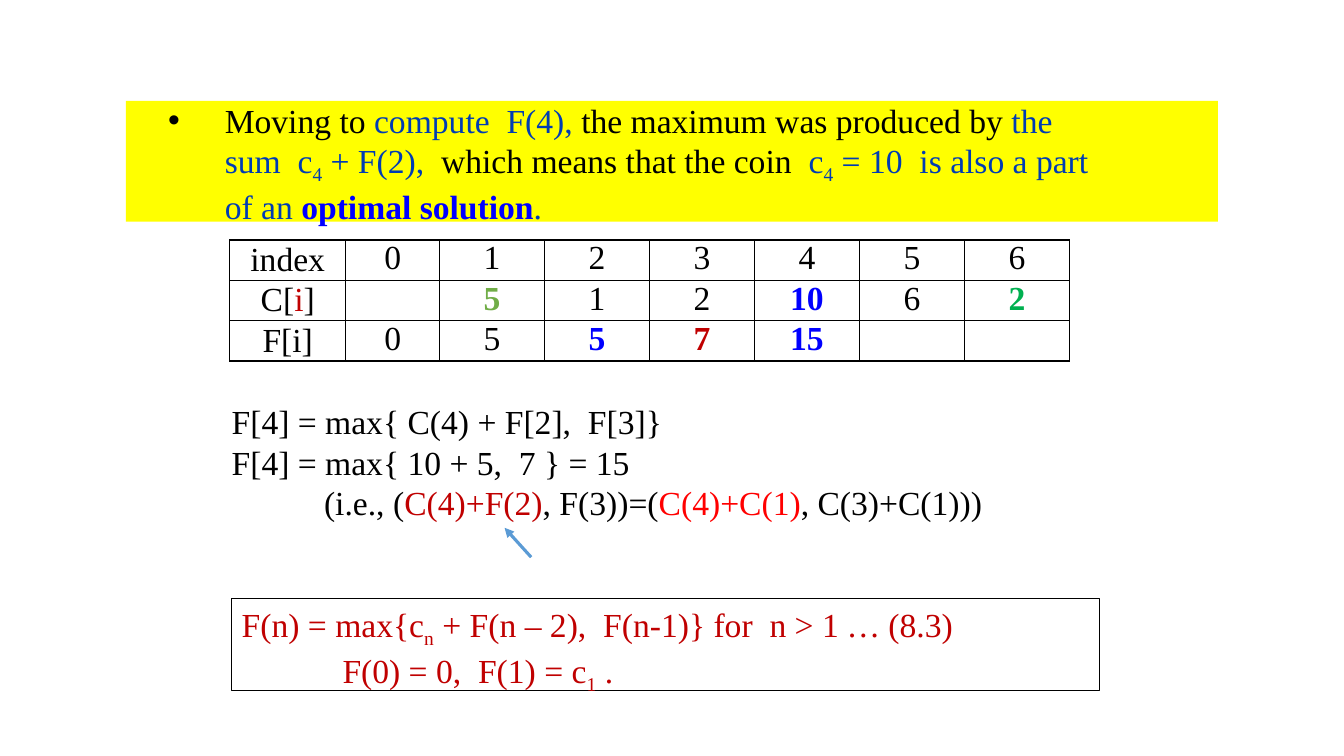
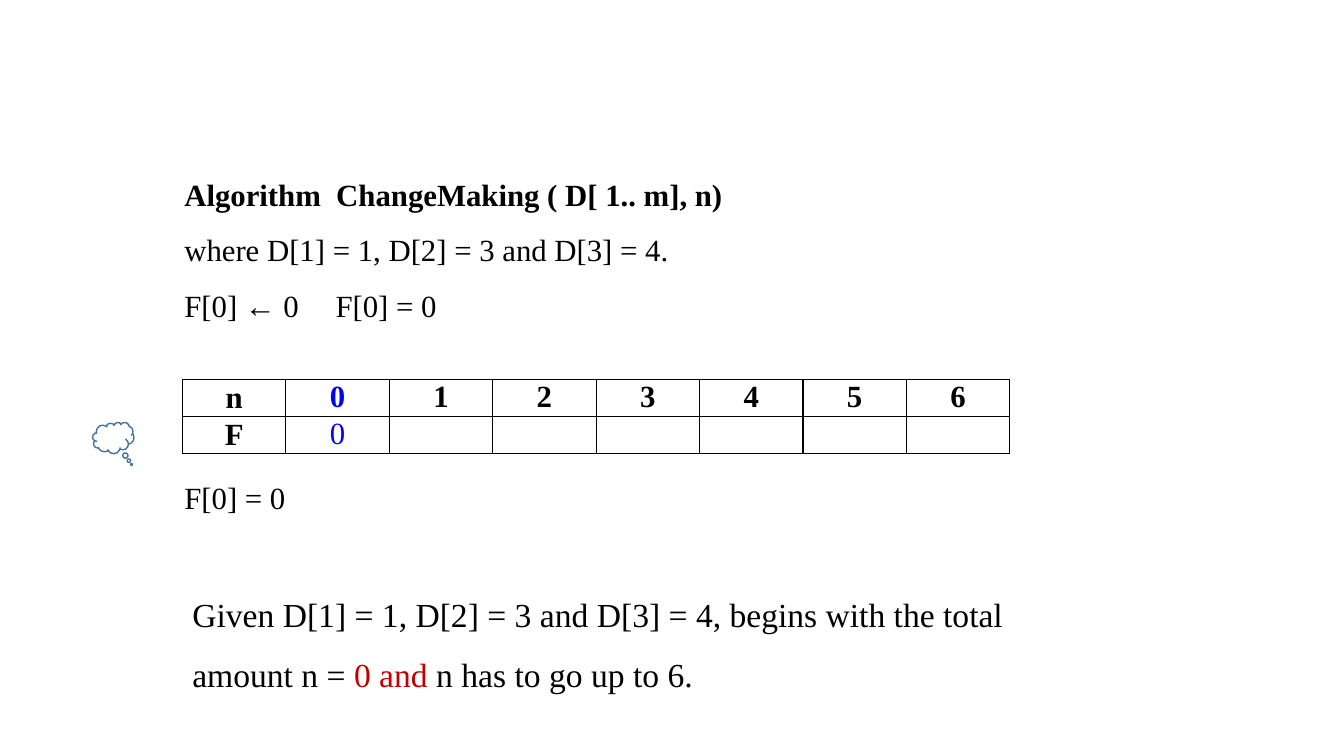
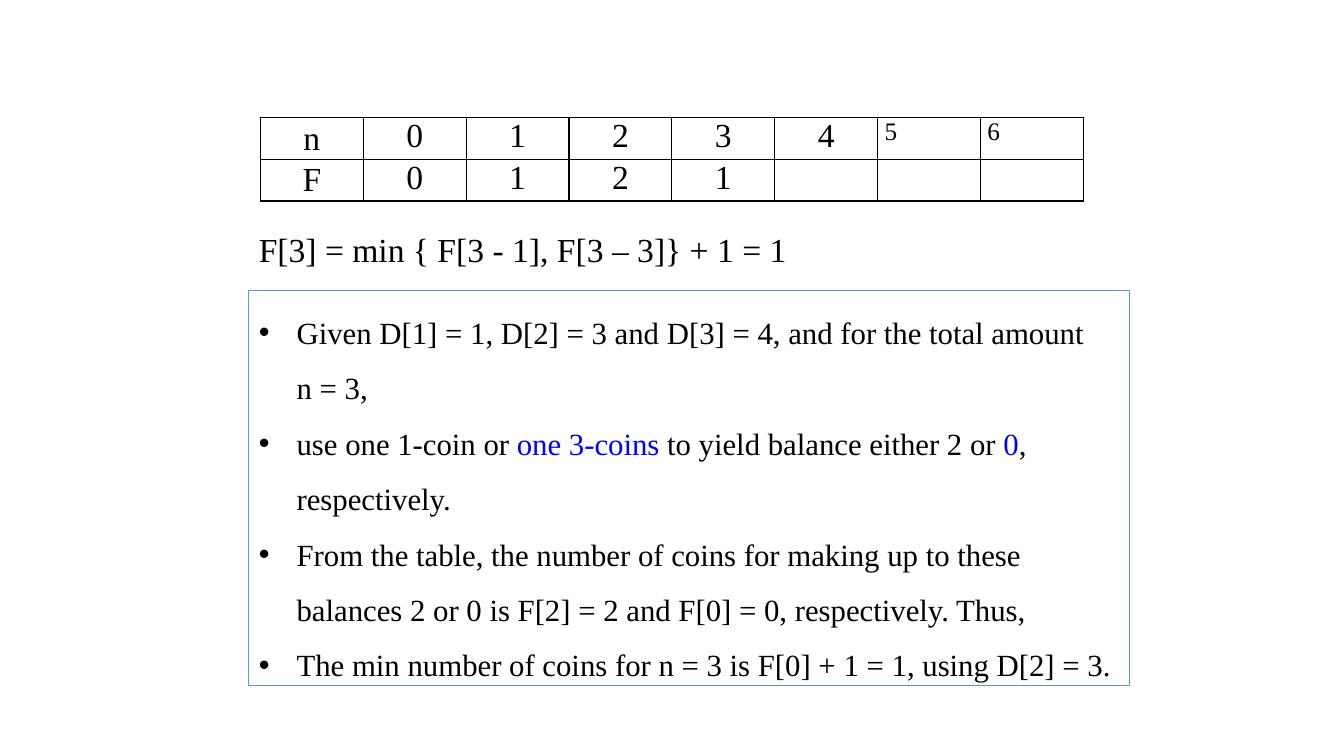
from dataclasses import dataclass

from lxml.etree import SubElement
from pptx import Presentation
from pptx.dml.color import RGBColor
from pptx.enum.shapes import MSO_CONNECTOR, MSO_SHAPE
from pptx.enum.text import MSO_ANCHOR, PP_ALIGN
from pptx.oxml.ns import qn
from pptx.util import Pt

BLACK = RGBColor(0x00, 0x00, 0x00)
WHITE = RGBColor(0xFF, 0xFF, 0xFF)
YELLOW = RGBColor(0xFF, 0xFF, 0x00)
NAVY = RGBColor(0x00, 0x3C, 0xB4)
BLUE = RGBColor(0x00, 0x00, 0xFF)
CRIMSON = RGBColor(0xC0, 0x00, 0x00)
RED = RGBColor(0xFF, 0x00, 0x00)
OLIVE = RGBColor(0x70, 0xAD, 0x47)
GREEN = RGBColor(0x00, 0xB0, 0x50)
SKY = RGBColor(0x5B, 0x9B, 0xD5)
STEEL = RGBColor(0x43, 0x73, 0x9E)
FONT = "Times New Roman"
BODY = 24
SMALL = 22


@dataclass
class Box:
    left: float
    top: float
    width: float
    height: float

    def inner(self, left, top, width, height):
        return Box(self.left + left, self.top + top, width, height)

    def points(self):
        return Pt(self.left), Pt(self.top), Pt(self.width), Pt(self.height)


@dataclass
class Span:
    text: str
    colour: RGBColor = BLACK
    bold: bool = False
    low: bool = False


@dataclass
class Line:
    spans: list
    indent: float = 0
    bullet: bool = False
    tab: float = 0
    spacing: float = 1


def write_spans(para, spans, size):
    for span in spans:
        if span == "\n":
            para.add_line_break()
            continue
        if isinstance(span, str):
            span = Span(span)
        run = para.add_run()
        run.text = span.text
        run.font.name = FONT
        run.font.size = Pt(size)
        run.font.bold = span.bold
        run.font.color.rgb = span.colour
        if span.low:
            run.font._element.set("baseline", "-25000")


def write_lines(shape, lines, size):
    frame = shape.text_frame
    frame.word_wrap = True
    frame.vertical_anchor = MSO_ANCHOR.TOP
    for number, line in enumerate(lines):
        para = frame.paragraphs[0] if number == 0 else frame.add_paragraph()
        para.alignment = PP_ALIGN.LEFT
        para.line_spacing = line.spacing
        props = para._p.get_or_add_pPr()
        props.set("marL", str(Pt(line.indent)))
        props.set("indent", str(-Pt(line.indent) if line.bullet else 0))
        if line.bullet:
            SubElement(props, qn("a:buFont"), typeface="Arial")
            SubElement(props, qn("a:buChar"), char="•")
        if line.tab:
            tabs = SubElement(props, qn("a:tabLst"))
            SubElement(tabs, qn("a:tab"), pos=str(Pt(line.tab)), algn="l")
        write_spans(para, line.spans, size)


def add_text(page, box, lines, size=BODY):
    write_lines(page.shapes.add_textbox(*box.points()), lines, size)


def add_panel(page, box, fill=None, line=None, weight=1, kind=MSO_SHAPE.RECTANGLE):
    panel = page.shapes.add_shape(kind, *box.points())
    panel.shadow.inherit = False
    if fill is None:
        panel.fill.background()
    else:
        panel.fill.solid()
        panel.fill.fore_color.rgb = fill
    if line is None:
        panel.line.fill.background()
    else:
        panel.line.color.rgb = line
        panel.line.width = Pt(weight)
    return panel


def add_arrow(page, start, end):
    arrow = page.shapes.add_connector(
        MSO_CONNECTOR.STRAIGHT, *[Pt(value) for value in (*start, *end)])
    arrow.line.color.rgb = SKY
    arrow.line.width = Pt(2.25)
    props = arrow._element.spPr
    SubElement(props.find(qn("a:ln")), qn("a:tailEnd"), type="triangle")
    SubElement(props, qn("a:effectLst"))


def outline_cell(cell):
    props = cell._tc.get_or_add_tcPr()
    for side in ("a:lnL", "a:lnR", "a:lnT", "a:lnB"):
        edge = SubElement(props, qn(side), w=str(Pt(1)))
        fill = SubElement(edge, qn("a:solidFill"))
        SubElement(fill, qn("a:srgbClr"), val=str(BLACK))


def add_grid(page, box, rows, size=BODY, widths=None, small_cells=()):
    count = len(rows[0])
    widths = widths or [box.width / count] * count
    table = page.shapes.add_table(len(rows), count, *box.points()).table
    table.first_row = table.horz_banding = False
    for column, width in zip(table.columns, widths):
        column.width = Pt(width)
    for row_no, row in enumerate(rows):
        table.rows[row_no].height = Pt(box.height / len(rows))
        for col_no, spans in enumerate(row):
            cell = table.cell(row_no, col_no)
            outline_cell(cell)
            cell.fill.solid()
            cell.fill.fore_color.rgb = WHITE
            cell.margin_left = cell.margin_right = Pt(5)
            cell.margin_top = cell.margin_bottom = 0
            cell.vertical_anchor = MSO_ANCHOR.TOP if col_no else MSO_ANCHOR.MIDDLE
            small = (row_no, col_no) in small_cells
            para = cell.text_frame.paragraphs[0]
            para.alignment = PP_ALIGN.LEFT if small else PP_ALIGN.CENTER
            if spans:
                spans = spans if isinstance(spans, list) else [spans]
                write_spans(para, spans, 18 if small else size)


def add_highlight(page, box):
    add_panel(page, box, YELLOW)
    add_text(page, box.inner(23, -4.5, 684, 94), [Line([
        "Moving to ", Span("compute  F(4), ", NAVY), "the maximum was produced by ",
        Span("the sum  c", NAVY), Span("4", NAVY, low=True), Span(" + F(2), ", NAVY),
        " which means that the coin  ", Span("c", NAVY), Span("4", NAVY, low=True),
        Span(" = 10  is also a part of an ", NAVY),
        Span("optimal solution", BLUE, True), Span(".", NAVY)], 40.5, True)])


def add_steps(page, box):
    add_text(page, box, [
        Line(["F[4] = max{ C(4) + F[2],  F[3]}"]),
        Line(["F[4] = max{ 10 + 5,  7 } = 15"]),
        Line(["(i.e., (", Span("C(4)+F(2)", CRIMSON), ", F(3))=(",
              Span("C(4)+C(1)", RED), ", C(3)+C(1)))"], 66)])
    add_arrow(page, (box.left + 221, box.top + 115), (box.left + 202, box.top + 94))


def add_recurrence(page, box):
    panel = add_panel(page, box, WHITE, BLACK)
    write_lines(panel, [
        Line([Span("F(n) = max{c", CRIMSON), Span("n", CRIMSON, low=True),
              Span(" + F(n – 2),  F(n-1)} for  n > 1\t… (8.3)", CRIMSON)], tab=504),
        Line([Span("F(0) = 0,  F(1) = c", CRIMSON), Span("1", CRIMSON, low=True),
              Span(" .", CRIMSON)], 72)], BODY)


def add_algorithm(page, box):
    add_text(page, box, [
        Line([Span("Algorithm  ChangeMaking ( D[ 1.. m], n)", bold=True)], spacing=1.5),
        Line(["where D[1] = 1, D[2] = 3 and D[3] = 4."], spacing=1.5),
        Line(["F[0] ← 0\tF[0] = 0"], tab=448, spacing=1.5)], SMALL)


def add_thought(page, box):
    cloud = add_panel(page, box, WHITE, STEEL, kind=MSO_SHAPE.CLOUD_CALLOUT)
    cloud.adjustments[0] = 0.44
    cloud.adjustments[1] = 0.85


def add_reasoning(page, box):
    points = [
        ["Given D[1] = 1, D[2] = 3 and D[3] = 4, and for the total amount", "\n", "n = 3,"],
        ["use one 1-coin or ", Span("one 3-coins ", BLUE),
         "to yield balance either 2 or ", Span("0", BLUE), ", respectively."],
        ["From the table, the number of coins for making up to these balances "
         "2 or 0 is F[2] = 2 and F[0] = 0, respectively. Thus,"],
        ["The min number of coins for n = 3 is F[0] + 1 = 1, using D[2] = 3."]]
    panel = add_panel(page, box, line=SKY, weight=0.75)
    write_lines(panel, [Line(spans, 27, True, spacing=1.5) for spans in points], SMALL)


def build_coin_row(page):
    add_highlight(page, Box(90, 72, 780, 86.4))
    add_grid(page, Box(164, 171.4, 600, 86.4), [
        ["index", *"0123456"],
        [["C[", Span("i", CRIMSON), "]"], "", Span("5", OLIVE, True), "1", "2",
         Span("10", BLUE, True), "6", Span("2", GREEN, True)],
        ["F[i]", "0", "5", Span("5", BLUE, True), Span("7", CRIMSON, True),
         Span("15", BLUE, True), "", ""]], widths=[83, 67] + [75] * 6)
    add_steps(page, Box(158.4, 283, 611, 94))
    add_recurrence(page, Box(165.6, 427.7, 620, 65.5))


def build_change_start(page):
    add_algorithm(page, Box(124.6, 108.7, 690, 163))
    add_grid(page, Box(130.3, 271.2, 591, 53), [
        [Span("n", bold=True), Span("0", BLUE, True)]
        + [Span(digit, bold=True) for digit in "123456"],
        [Span("F", bold=True), Span("0", BLUE)] + [""] * 6], SMALL)
    add_text(page, Box(124.6, 338.4, 103, 34), [Line(["F[0] = 0"])], SMALL)
    add_text(page, Box(130.3, 406, 598, 89), [Line([
        "Given D[1] = 1, D[2] = 3 and D[3] = 4, begins with the total amount n = ",
        Span("0 and ", CRIMSON), "n has to go up to 6."], spacing=1.5)])
    add_thought(page, Box(66.2, 301.7, 29.5, 22.3))


def build_change_third(page):
    add_grid(page, Box(186, 84.2, 588, 59.4),
             [["n", *"0123456"], ["F", *"0121", "", "", ""]],
             small_cells=((0, 6), (0, 7)))
    add_text(page, Box(177.8, 159.8, 411, 36),
             [Line(["F[3] = min { F[3 - 1], F[3 – 3]} + 1 = 1"])])
    add_reasoning(page, Box(177.8, 207.4, 629.3, 282.2))


def main():
    deck = Presentation()
    deck.slide_width, deck.slide_height = Pt(960), Pt(540)
    for build in (build_coin_row, build_change_start, build_change_third):
        build(deck.slides.add_slide(deck.slide_layouts[6]))
    deck.save("out.pptx")


if __name__ == "__main__":
    main()
